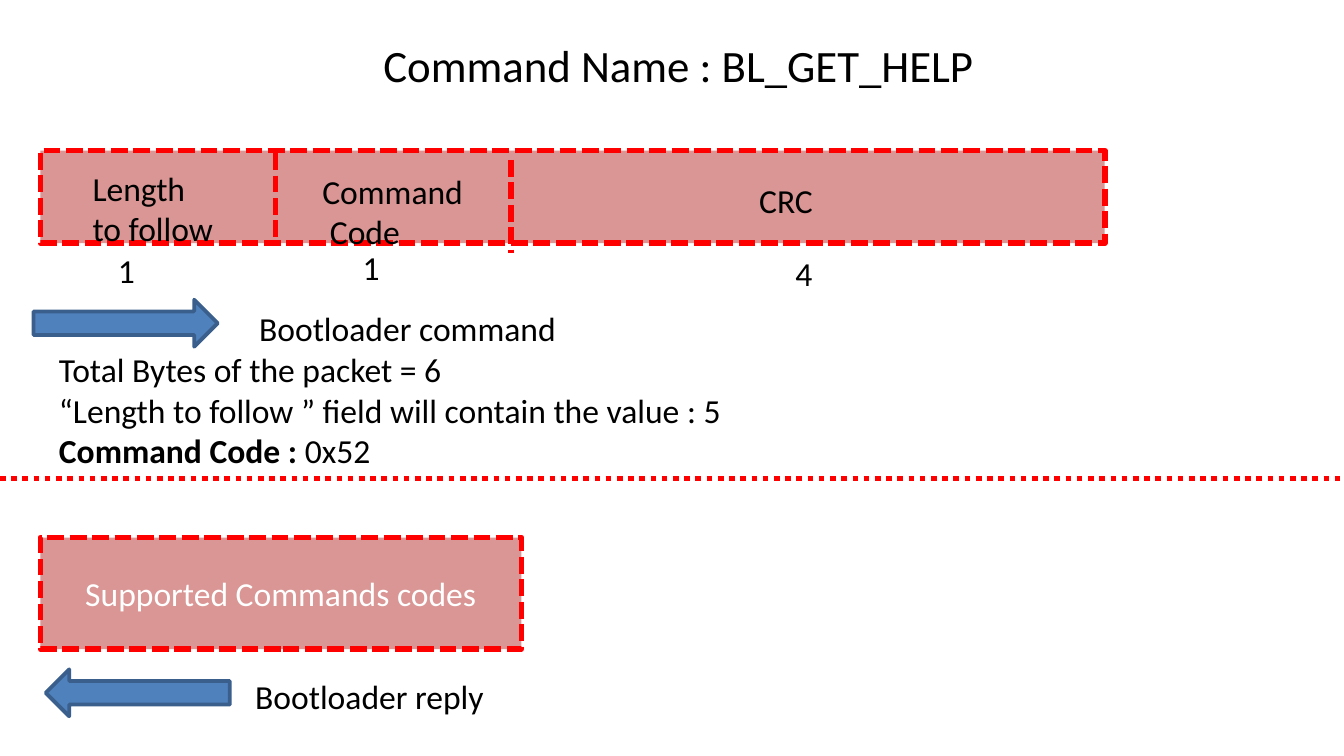
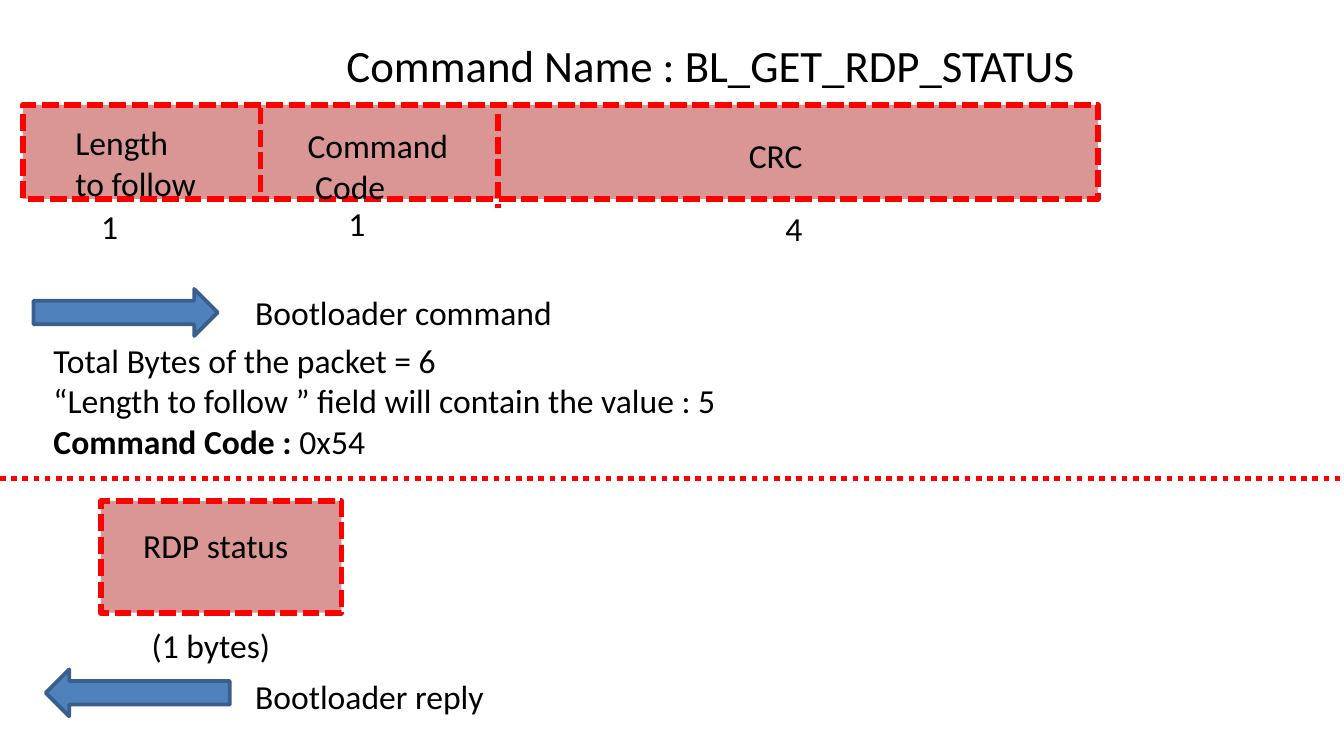
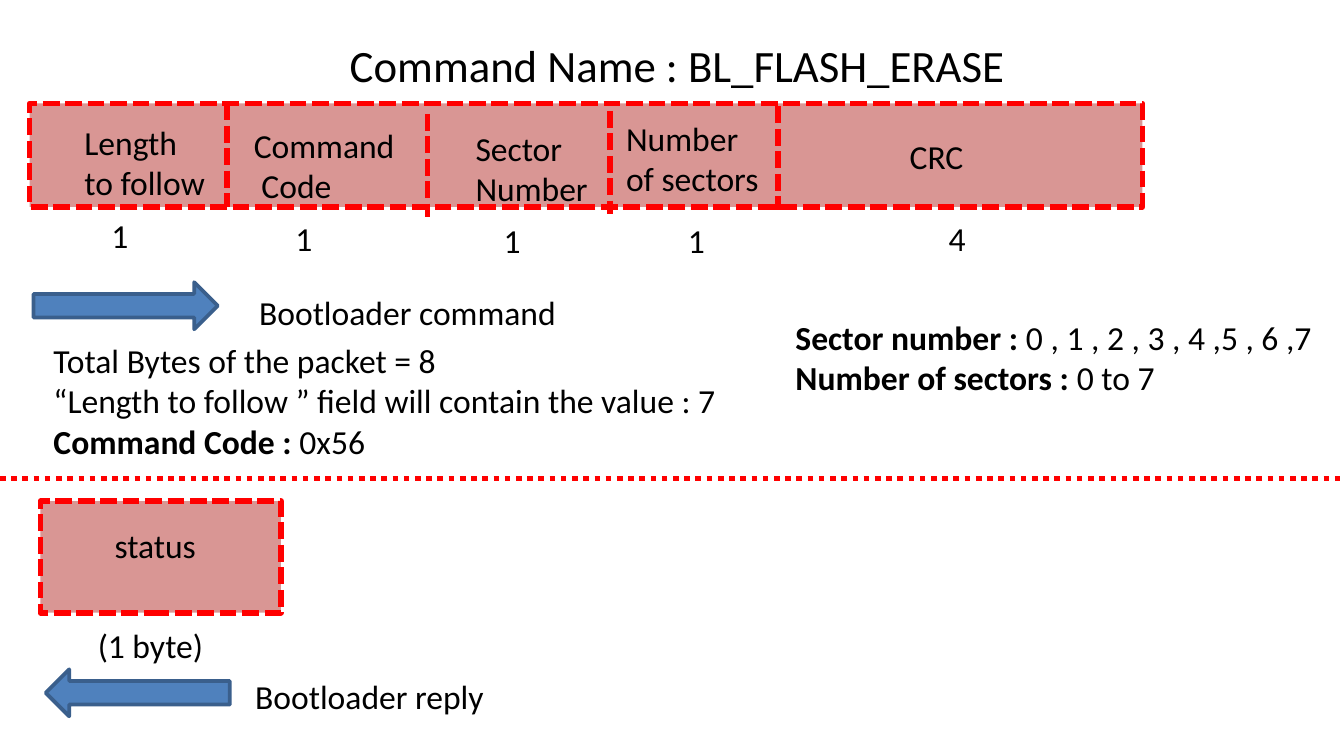
from pptx import Presentation
from pptx.dml.color import RGBColor
from pptx.enum.dml import MSO_LINE
from pptx.enum.shapes import MSO_CONNECTOR, MSO_SHAPE
from pptx.enum.text import MSO_ANCHOR, MSO_AUTO_SIZE, PP_ALIGN
from pptx.oxml.ns import qn
from pptx.util import Inches, Pt
from lxml.etree import SubElement

FONT = "Calibri"
BLACK, WHITE, RED = "000000", "FFFFFF", "FF0000"
PINK, BLUE, DARK_BLUE = "D99694", "4F81BD", "3A5F8C"
BODY_SIZE, TITLE_SIZE = 18, 24
DASHED, DOTTED = MSO_LINE.SQUARE_DOT, MSO_LINE.ROUND_DOT
SLIDE_WIDTH = 10
SLIDE_HEIGHT = SLIDE_WIDTH * 9 / 16
SPLIT_TOP = 3.56
ARROW_SIZE = (1.37, 0.35)
LABEL_HEIGHTS = {1: 0.33, 2: 0.58}
BYTE_WIDTH = 0.33

LENGTH = ["Length", "to follow"]
CODE = ["Command", " Code"]

SHORT_PACKET = {
    "unit": (7.92, 0.69),
    "labels": [
        (LENGTH, 0.29, 0.08, 1.11), (CODE, 2.0, 0.1, 1.26), (["CRC"], 5.25, 0.17, 0.61),
    ],
    "bytes": [("1", 0.48, 0.69), ("1", 2.3, 0.67), ("4", 5.52, 0.71)],
    "dividers": [(1.75, 0.02), (3.5, 0.07)],
}
LONG_PACKET = {
    "unit": (8.28, 0.69),
    "labels": [
        (LENGTH, 0.31, 0.08, 1.16), (CODE, 1.57, 0.1, 1.32),
        (["Sector", "Number"], 3.22, 0.12, 1.1),
        (["Number", "of sectors"], 4.34, 0.05, 1.25), (["CRC"], 6.45, 0.17, 0.63),
    ],
    "bytes": [("1", 0.51, 0.7), ("1", 1.88, 0.72), ("1", 3.43, 0.73),
              ("1", 4.8, 0.73), ("4", 6.74, 0.72)],
    "dividers": [(1.47, 0), (2.96, 0.07), (4.32, 0.05), (5.57, 0.02)],
}

COMMANDS = [
    {
        "title": ("BL_GET_HELP", 2.73, 4.71, PP_ALIGN.CENTER),
        "packet": (SHORT_PACKET, 0.3, 1.12, 7.92, 0.69),
        "total": 6, "code": "0x52", "facts": (0.34, 2.55, 5.25, 1.01),
        "arrow_top": 2.23, "caption": (1.83, 2.24),
        "reply": (0.3, 4, 3.58, 0.83), "reply_text": "Supported Commands codes",
        "notes": [],
    },
    {
        "title": ("BL_GET_RDP_STATUS", 2.48, 6.26, PP_ALIGN.LEFT),
        "packet": (SHORT_PACKET, 0.17, 0.78, 8, 0.7),
        "total": 6, "code": "0x54", "facts": (0.3, 2.48, 5.2, 1.31),
        "arrow_top": 2.15, "caption": (1.8, 2.12),
        "reply": (0.75, 3.73, 1.79, 0.83), "reply_text": "",
        "notes": [("(1 bytes)", 1.02, 4.6, 1.1), ("RDP status", 0.96, 3.86, 1.29)],
    },
    {
        "title": ("BL_FLASH_ERASE", 2.48, 5.19, PP_ALIGN.CENTER),
        "packet": (LONG_PACKET, 0.22, 0.77, 8.28, 0.77),
        "total": 8, "code": "0x56", "facts": (0.3, 2.48, 5.2, 1.31),
        "arrow_top": 2.1, "caption": (1.83, 2.12),
        "reply": (0.3, 3.73, 1.79, 0.83), "reply_text": "",
        "notes": [("(1 byte)", 0.62, 4.6, 1), ("status", 0.75, 3.86, 0.81)],
        "ranges": [("Sector number : ", "0 , 1 , 2 , 3 , 4 ,5 , 6 ,7"),
                   ("Number of sectors : ", "0 to 7")],
    },
]


def color(value):
    return RGBColor.from_string(value)


def style_runs(paragraph, size, tint):
    for run in paragraph.runs:
        run.font.name = FONT
        run.font.size = Pt(size)
        run.font.color.rgb = color(tint)


def add_text(shapes, lines, box, align=PP_ALIGN.LEFT, size=BODY_SIZE, wrap=False):
    frame = shapes.add_textbox(*map(Inches, box)).text_frame
    frame.word_wrap = wrap
    frame.auto_size = MSO_AUTO_SIZE.SHAPE_TO_FIT_TEXT
    for index, line in enumerate(lines):
        paragraph = frame.add_paragraph() if index else frame.paragraphs[0]
        paragraph.alignment = align
        if isinstance(line, tuple):
            for text, bold in zip(line, (True, False)):
                run = paragraph.add_run()
                run.text = text
                run.font.bold = bold
        else:
            paragraph.text = line
        style_runs(paragraph, size, BLACK)


def add_box(shapes, kind, box, fill, outline, weight):
    shape = shapes.add_shape(kind, *map(Inches, box))
    shape.shadow.inherit = False
    shape.fill.solid()
    shape.fill.fore_color.rgb = color(fill)
    shape.line.color.rgb = color(outline)
    shape.line.width = Pt(weight)
    return shape


def add_field_box(shapes, box):
    shape = add_box(shapes, MSO_SHAPE.RECTANGLE, box, PINK, RED, 3)
    shape.line.dash_style = DASHED
    return shape


def add_line(shapes, start, end, dash):
    line = shapes.add_connector(MSO_CONNECTOR.STRAIGHT, *map(Inches, start + end))
    line.line.color.rgb = color(RED)
    line.line.width = Pt(3)
    line.line.dash_style = dash
    SubElement(line._element.spPr, qn("a:effectLst"))


def add_arrow(shapes, left, top, rotation=0):
    arrow = add_box(shapes, MSO_SHAPE.RIGHT_ARROW, (left, top, *ARROW_SIZE), BLUE, DARK_BLUE, 2)
    arrow.rotation = rotation


def add_packet(slide, layout, left, top, width, height):
    shapes = slide.shapes.add_group_shape().shapes
    scale_x, scale_y = width / layout["unit"][0], height / layout["unit"][1]

    def place(x, y, wide, high):
        return left + x * scale_x, top + y * scale_y, wide * scale_x, high * scale_y

    add_field_box(shapes, (left, top, width, height))
    for x, y in layout["dividers"]:
        line_left, line_top, _, _ = place(x, y, 0, 0)
        add_line(shapes, (line_left, line_top), (line_left, line_top + height), DASHED)
    for lines, x, y, wide in layout["labels"]:
        add_text(shapes, lines, place(x, y, wide, LABEL_HEIGHTS[len(lines)]))
    for count, x, y in layout["bytes"]:
        add_text(shapes, [count], place(x, y, BYTE_WIDTH, LABEL_HEIGHTS[1]))


def add_title(shapes, name, left, width, align):
    add_text(shapes, [f"Command Name : {name} "], (left, 0.23, width, 0.5),
             align, TITLE_SIZE, align == PP_ALIGN.LEFT)


def add_command_slide(presentation, command):
    slide = presentation.slides.add_slide(presentation.slide_layouts[6])
    shapes = slide.shapes
    add_packet(slide, *command["packet"])
    add_text(shapes, [
        f"Total Bytes of the packet = {command['total']}",
        f"“Length to follow ” field will contain the value : {command['total'] - 1}",
        ("Command Code : ", command["code"]),
    ], command["facts"])

    reply = add_field_box(shapes, command["reply"])
    if command["reply_text"]:
        frame = reply.text_frame
        frame.text = command["reply_text"]
        frame.vertical_anchor = MSO_ANCHOR.MIDDLE
        frame.paragraphs[0].alignment = PP_ALIGN.CENTER
        style_runs(frame.paragraphs[0], BODY_SIZE, WHITE)
    for text, left, top, width in command["notes"]:
        add_text(shapes, [text], (left, top, width, 0.4), PP_ALIGN.CENTER)

    add_arrow(shapes, 0.25, command["arrow_top"])
    add_arrow(shapes, 0.34, 4.98, 180)
    add_text(shapes, ["Bootloader reply"], (1.8, 4.98, 1.92, 0.4))
    add_text(shapes, ["Bootloader command"], (*command["caption"], 2.44, 0.4))
    add_line(shapes, (0, SPLIT_TOP), (SLIDE_WIDTH, SPLIT_TOP), DOTTED)
    add_title(shapes, *command["title"])
    if "ranges" in command:
        add_text(shapes, command["ranges"], (5.82, 2.31, 4.21, 0.71), wrap=True)


def main():
    presentation = Presentation()
    presentation.slide_width = Inches(SLIDE_WIDTH)
    presentation.slide_height = Inches(SLIDE_HEIGHT)
    for command in COMMANDS:
        add_command_slide(presentation, command)
    presentation.save("out.pptx")


if __name__ == "__main__":
    main()
